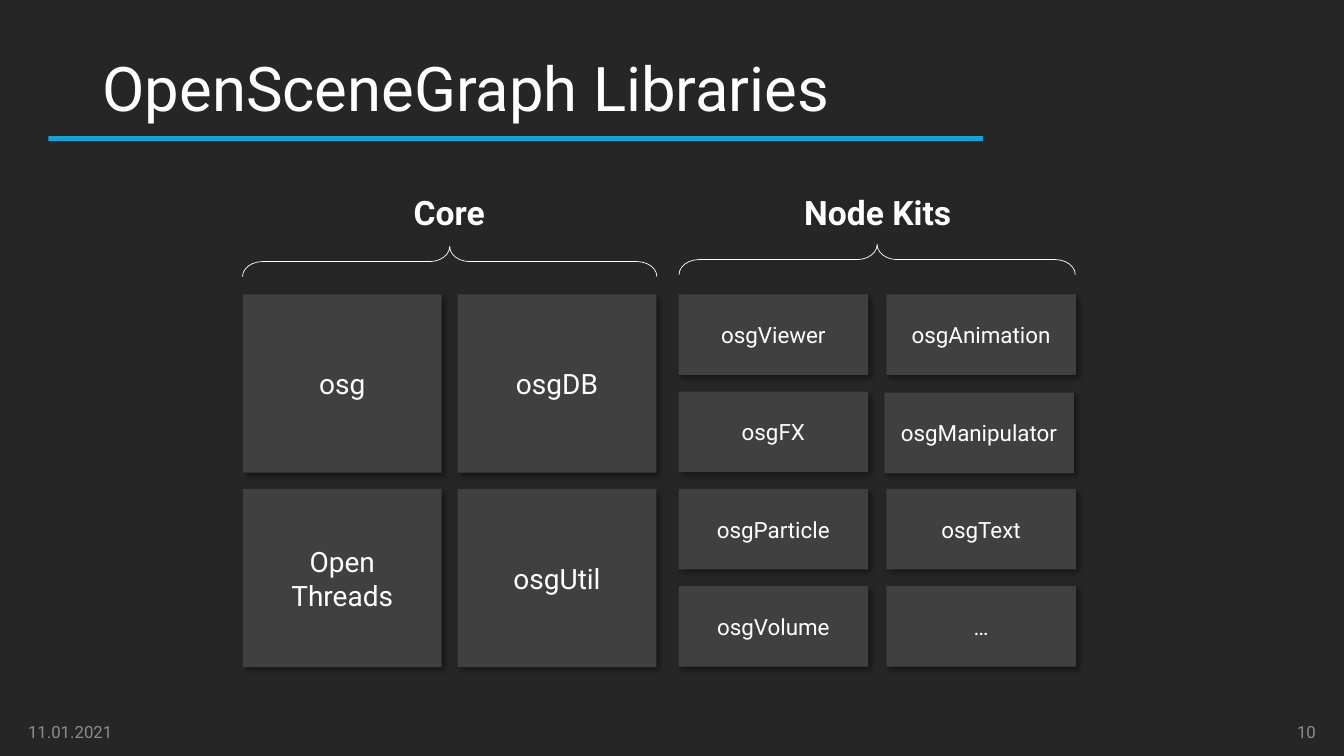
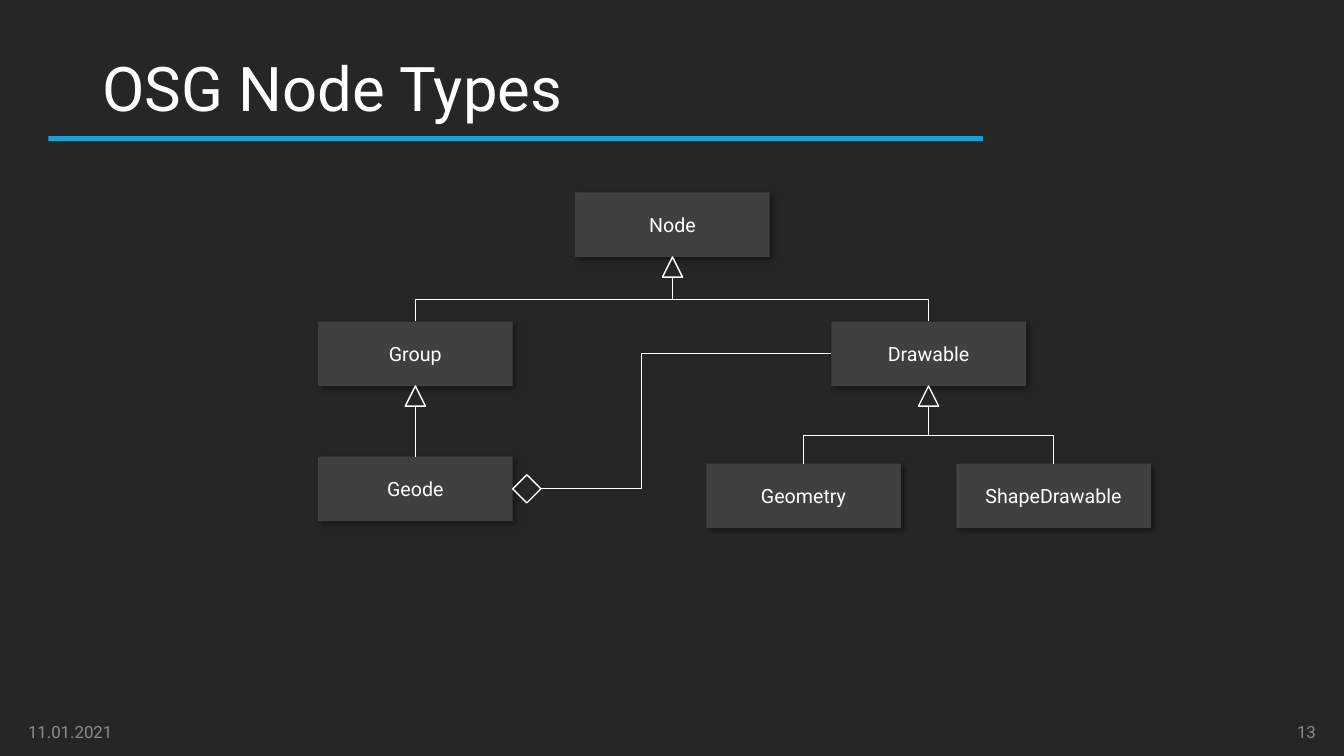
from lxml.etree import SubElement
from pptx import Presentation
from pptx.dml.color import RGBColor
from pptx.enum.shapes import MSO_CONNECTOR, MSO_SHAPE
from pptx.enum.text import MSO_ANCHOR as ANCHOR, MSO_AUTO_SIZE, PP_ALIGN as ALIGN
from pptx.oxml.ns import qn
from pptx.util import Inches, Pt

HEX = {"background": "262626", "accent": "18A1D2", "box": "404040",
       "text": "FFFFFF", "footer": "8C8C8C"}
COLORS = {name: RGBColor.from_string(value) for name, value in HEX.items()}
FONT = "Roboto"
DATE = "11.01.2021"


def write_text(shape, text, size, color="text", align=ALIGN.LEFT,
               anchor=ANCHOR.MIDDLE, bold=False, spacing=1.0):
    """Fill a shape with text, one paragraph per line."""
    frame = shape.text_frame
    frame.text = text
    frame.word_wrap = True
    frame.vertical_anchor = anchor
    font_format = {"name": FONT, "size": Pt(size), "bold": bold}
    for paragraph in frame.paragraphs:
        paragraph.alignment = align
        paragraph.line_spacing = spacing
        for name, value in font_format.items():
            setattr(paragraph.font, name, value)
        paragraph.font.color.rgb = COLORS[color]


def add_box(slide, text, left, top, width, height, size):
    """Add a grey box with centred text and a soft shadow."""
    box = slide.shapes.add_shape(MSO_SHAPE.RECTANGLE, Inches(left), Inches(top),
                                 Inches(width), Inches(height))
    box.fill.solid()
    box.fill.fore_color.rgb = COLORS["box"]
    box.line.fill.background()
    box.shadow.inherit = False
    effects = box._element.spPr.find(qn("a:effectLst"))
    shadow = SubElement(effects, qn("a:outerShdw"), blurRad=str(Pt(4)),
                        dist=str(Pt(3)), dir="2700000", algn="tl", rotWithShape="0")
    shadow_color = SubElement(shadow, qn("a:srgbClr"), val="000000")
    SubElement(shadow_color, qn("a:alpha"), val="40000")
    write_text(box, text, size, align=ALIGN.CENTER)


presentation = Presentation()
presentation.slide_width, presentation.slide_height = Inches(13.33), Inches(7.5)
background = presentation.slide_master.background.fill
background.solid()
background.fore_color.rgb = COLORS["background"]

# Title, accent bar and footer of every slide
slides = []
for title, number in (("OpenSceneGraph Libraries", "10"), ("OSG Node Types", "13")):
    slide = presentation.slides.add_slide(presentation.slide_layouts[6])
    bar = slide.shapes.add_shape(MSO_SHAPE.RECTANGLE, Inches(0.48), Inches(1.35),
                                 Inches(9.27), Inches(0.05))
    bar.fill.solid()
    bar.fill.fore_color.rgb = COLORS["accent"]
    bar.line.fill.background()
    bar.shadow.inherit = False
    title_box = slide.shapes.add_textbox(Inches(0.92), Inches(0.18),
                                         Inches(11.5), Inches(1.45))
    write_text(title_box, title, 44, spacing=0.9)
    for text, left, align in ((DATE, 0.18, ALIGN.LEFT), (number, 10.15, ALIGN.RIGHT)):
        footer = slide.shapes.add_textbox(Inches(left), Inches(7.06),
                                          Inches(3), Inches(0.4))
        write_text(footer, text, 12, "footer", align)
    slides.append(slide)
libraries_slide, types_slide = slides
outlines = []

# Libraries: two grids of boxes, each under a brace and a heading
GRID_TOP = 2.92
GRIDS = [
    {"names": ["osg", "osgDB", "Open\nThreads", "osgUtil"],
     "left": 2.41, "pitch": (2.13, 1.93), "box": (1.97, 1.77), "size": 20},
    {"names": ["osgViewer", "osgAnimation", "osgFX", "osgManipulator",
               "osgParticle", "osgText", "osgVolume", "…"],
     "left": 6.73, "pitch": (2.06, 0.965), "box": (1.88, 0.8), "size": 16},
]
NUDGES = {"osgManipulator": (-0.02, 0.01)}
for grid in GRIDS:
    for index, name in enumerate(grid["names"]):
        row, column = divmod(index, 2)
        shift_x, shift_y = NUDGES.get(name, (0, 0))
        add_box(libraries_slide, name,
                grid["left"] + column * grid["pitch"][0] + shift_x,
                GRID_TOP + row * grid["pitch"][1] + shift_y,
                *grid["box"], grid["size"])

BRACE_DEPTH = 0.3
for heading, center, middle, span, text_left in (
        ("Core", 4.46, 2.595, 4.11, 3.47), ("Node Kits", 8.7, 2.575, 3.93, 7.72)):
    brace = libraries_slide.shapes.add_shape(
        MSO_SHAPE.RIGHT_BRACE, Inches(center - BRACE_DEPTH / 2),
        Inches(middle - span / 2), Inches(BRACE_DEPTH), Inches(span))
    brace.rotation = 270
    brace.adjustments[0] = 0.66
    outlines.append((brace, 0.5))
    label = libraries_slide.shapes.add_textbox(Inches(text_left), Inches(1.85),
                                               Inches(1.97), Inches(0.5))
    write_text(label, heading, 24, align=ALIGN.CENTER, anchor=ANCHOR.TOP, bold=True)
    label.text_frame.auto_size = MSO_AUTO_SIZE.SHAPE_TO_FIT_TEXT

# Node types: centre and top of each box, then parent and children
BOX_WIDTH, BOX_HEIGHT = 1.93, 0.64
ARROW, DIAMOND = 0.2, 0.28
NODES = {"Node": (6.67, 1.91), "Group": (4.12, 3.19), "Drawable": (9.21, 3.19),
         "Geode": (4.12, 4.53), "Geometry": (7.97, 4.6), "ShapeDrawable": (10.45, 4.6)}
CHILDREN = {"Node": ["Group", "Drawable"], "Group": ["Geode"],
            "Drawable": ["Geometry", "ShapeDrawable"]}
for name, (center, top) in NODES.items():
    add_box(types_slide, name, center - BOX_WIDTH / 2, top, BOX_WIDTH, BOX_HEIGHT, 14)

connectors = []
for parent, children in CHILDREN.items():
    parent_x, parent_top = NODES[parent]
    arrow_top = parent_top + BOX_HEIGHT
    arrow = types_slide.shapes.add_shape(
        MSO_SHAPE.ISOSCELES_TRIANGLE, Inches(parent_x - ARROW / 2), Inches(arrow_top),
        Inches(ARROW), Inches(ARROW))
    outlines.append((arrow, 1))
    for child in children:
        child_x, child_top = NODES[child]
        end_y = arrow_top + ARROW
        rise, run = child_top - end_y, abs(child_x - parent_x)
        left = (child_x + parent_x - rise) / 2
        top = (child_top + end_y - run) / 2
        connector = types_slide.shapes.add_connector(
            MSO_CONNECTOR.ELBOW, Inches(left), Inches(top),
            Inches(left + rise), Inches(top + run))
        # A quarter turn makes the elbow leave the child upwards
        turn = {"rot": "16200000", "flipV": "1"}
        if child_x < parent_x:
            turn = {"rot": "5400000", "flipH": "1", "flipV": "1"}
        for name, value in turn.items():
            connector._element.spPr.find(qn("a:xfrm")).set(name, value)
        connectors.append(connector)

geode_x, geode_top = NODES["Geode"]
drawable_x, drawable_top = NODES["Drawable"]
geode_right, geode_middle = geode_x + BOX_WIDTH / 2, geode_top + BOX_HEIGHT / 2
diamond = types_slide.shapes.add_shape(
    MSO_SHAPE.FLOWCHART_DECISION, Inches(geode_right),
    Inches(geode_middle - DIAMOND / 2), Inches(DIAMOND), Inches(DIAMOND))
outlines.append((diamond, 1))
aggregation = types_slide.shapes.add_connector(
    MSO_CONNECTOR.ELBOW, Inches(geode_right + DIAMOND), Inches(geode_middle),
    Inches(drawable_x - BOX_WIDTH / 2), Inches(drawable_top + BOX_HEIGHT / 2))
geometry = aggregation._element.spPr.find(qn("a:prstGeom"))
bend = geometry.find(qn("a:avLst"))
if bend is None:
    bend = SubElement(geometry, qn("a:avLst"))
SubElement(bend, qn("a:gd"), name="adj1", fmla="val 34700")
connectors.append(aggregation)

# White outlines and lines
for shape, width in outlines:
    shape.fill.background()
    shape.line.color.rgb = COLORS["text"]
    shape.line.width = Pt(width)
    shape.shadow.inherit = False
for connector in connectors:
    connector.line.color.rgb = COLORS["text"]
    connector.line.width = Pt(0.5)
    SubElement(connector._element.spPr, qn("a:effectLst"))

presentation.save("out.pptx")
